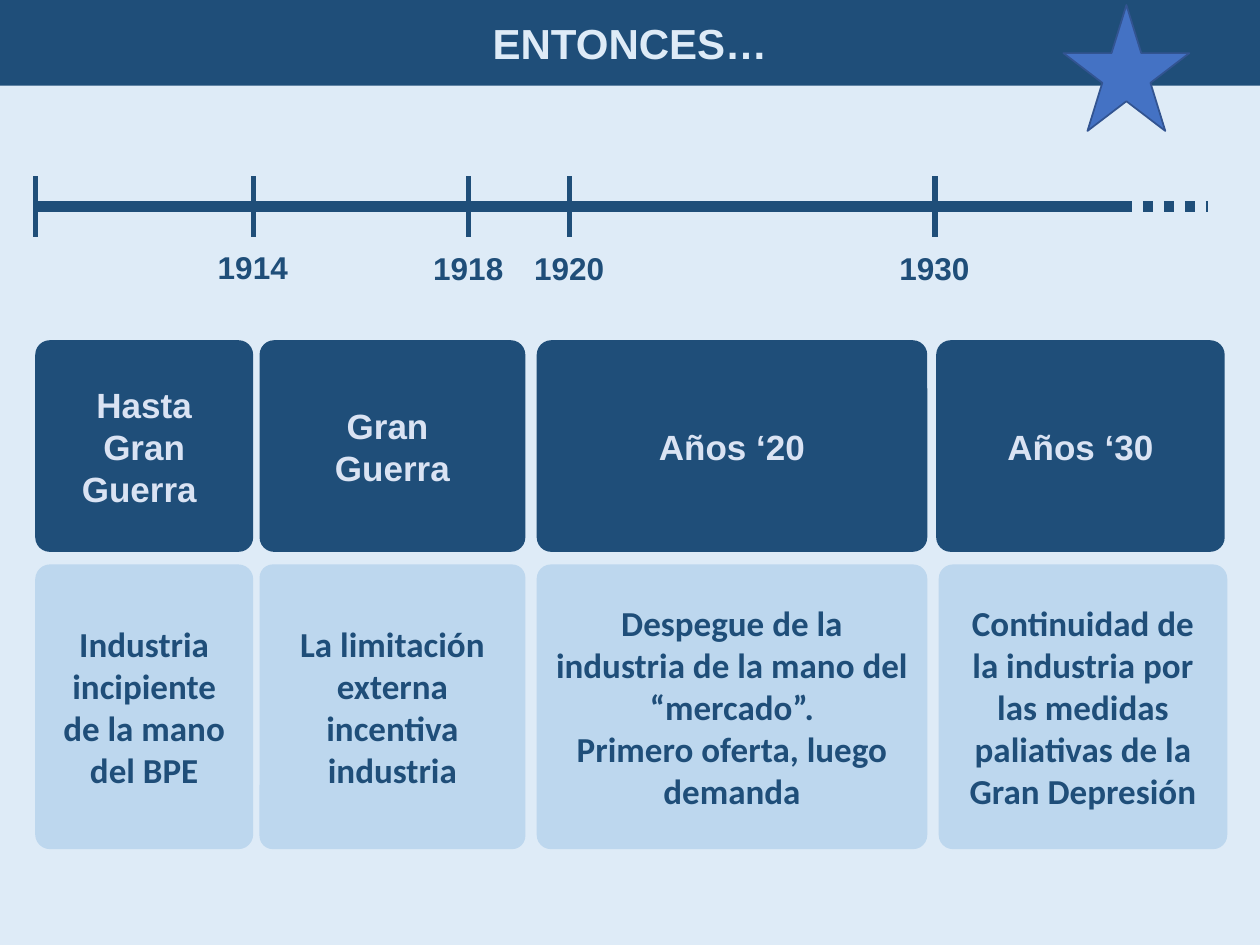
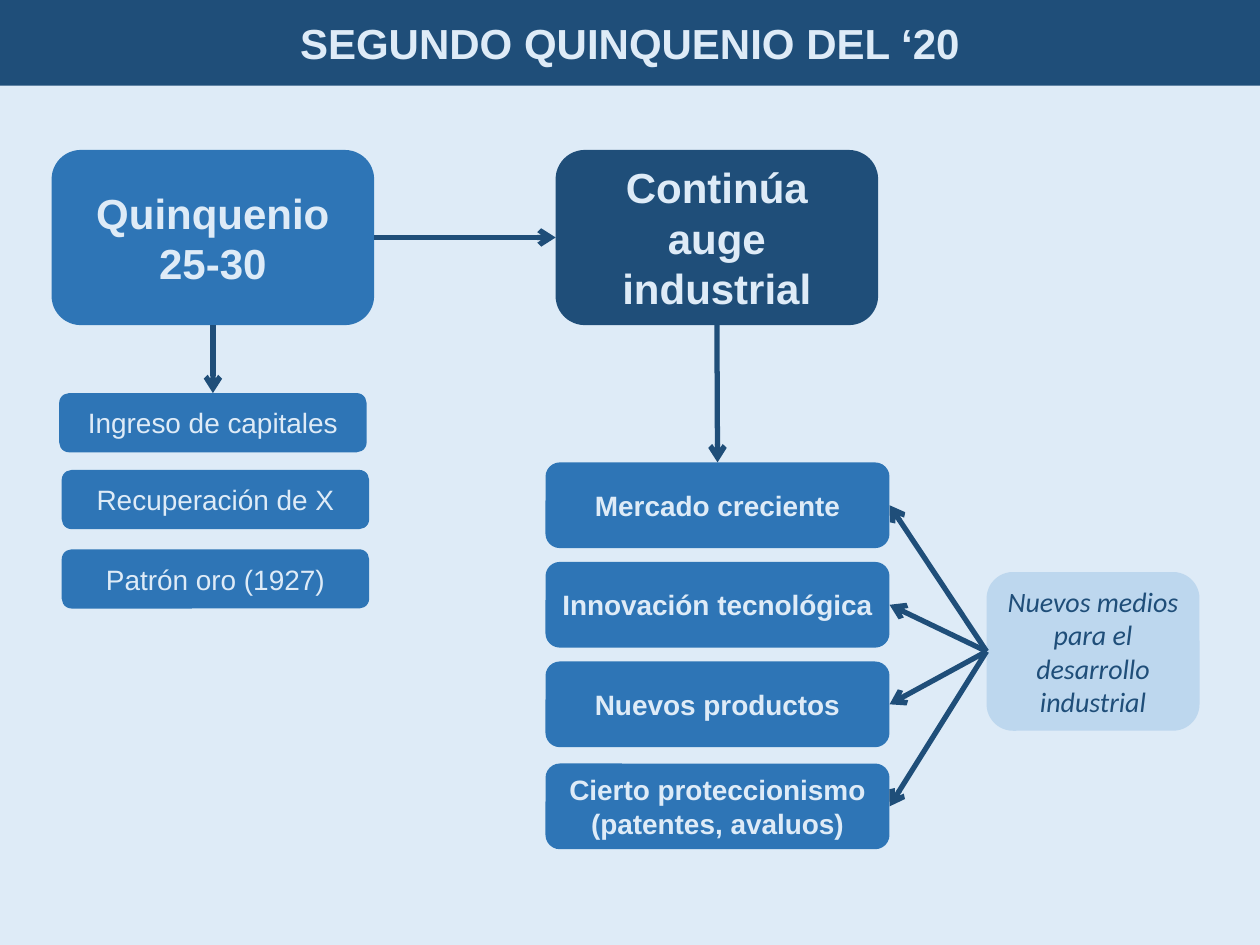
from typing import NamedTuple

from lxml.etree import SubElement
from pptx import Presentation
from pptx.dml.color import RGBColor
from pptx.enum.dml import MSO_LINE as Dash
from pptx.enum.shapes import MSO_CONNECTOR as Link, MSO_SHAPE as Kind
from pptx.enum.text import MSO_ANCHOR as Anchor, PP_ALIGN as Align
from pptx.oxml.ns import qn
from pptx.shapes.autoshape import Shape
from pptx.shapes.connector import Connector
from pptx.slide import Slide
from pptx.text.text import TextFrame
from pptx.util import Inches, Pt

NAVY = RGBColor(0x1F, 0x4E, 0x79)
BLUE = RGBColor(0x2E, 0x75, 0xB6)
SKY = RGBColor(0xBD, 0xD7, 0xEE)
PALE = RGBColor(0xDE, 0xEB, 0xF7)
MIST = RGBColor(0xDA, 0xE3, 0xF3)
STAR = RGBColor(0x44, 0x72, 0xC4)
EDGE = RGBColor(0x32, 0x54, 0x91)
TOP, LEFT, FOOT, RIGHT = range(4)


class Box(NamedTuple):
    x: float
    y: float
    w: float
    h: float


class Stage(NamedTuple):
    x: float
    w: float
    head: str
    fact: str
    fact_x: float
    curve: float = 0.05


class Tick(NamedTuple):
    x: float
    year: str = ""
    text_y: float = 1.93


class Item(NamedTuple):
    x: float
    y: float
    text: str


STAGES = [
    Stage(0.28, 1.73, "Hasta Gran Guerra ", "Industria incipiente de la mano del BPE", 0.28, 0.068),
    Stage(2.06, 2.11, "Gran \nGuerra", "La limitación externa incentiva industria", 2.06),
    Stage(4.26, 3.1, "Años ‘20",
          "Despegue de la industria de la mano del “mercado”.\nPrimero oferta, luego demanda", 4.26),
    Stage(7.43, 2.29, "Años ‘30",
          "Continuidad de la industria por las medidas paliativas de la Gran Depresión", 7.45),
]
TICKS = [Tick(0.28), Tick(2.01, "1914", 1.92), Tick(3.72, "1918"), Tick(4.52, "1920"), Tick(7.42, "1930")]
CAUSES = [
    Item(0.47, 3.12, "Ingreso de capitales"),
    Item(0.49, 3.73, "Recuperación de X"),
    Item(0.49, 4.36, "Patrón oro (1927)"),
]
TRENDS = [
    Item(4.33, 3.67, "Mercado creciente"),
    Item(4.33, 4.46, "Innovación tecnológica"),
    Item(4.33, 5.25, "Nuevos productos"),
    Item(4.33, 6.06, "Cierto proteccionismo\n(patentes, avaluos)"),
]


def write(frame: TextFrame, text: str, *, size: float, color: RGBColor = PALE, face: str = "Arial",
          bold: bool = True, slant: bool = False, align: Align = Align.CENTER) -> None:
    for i, line in enumerate(text.split("\n")):
        para = frame.add_paragraph() if i else frame.paragraphs[0]
        para.alignment = align
        run = para.add_run()
        run.text = line
        font = run.font
        font.name, font.size, font.bold, font.italic = face, Pt(size), bold, slant
        font.color.rgb = color


def draw(slide: Slide, box: Box, fill: RGBColor, kind: Kind = Kind.ROUNDED_RECTANGLE,
         curve: float | None = None, text: str = "", **style) -> Shape:
    shape = slide.shapes.add_shape(kind, *map(Inches, box))
    shape.shadow.inherit = False
    shape.fill.solid()
    shape.fill.fore_color.rgb = fill
    shape.line.fill.background()
    if curve is not None:
        shape.adjustments[0] = curve
    if text:
        shape.text_frame.word_wrap = True
        shape.text_frame.vertical_anchor = Anchor.MIDDLE
        write(shape.text_frame, text, **style)
    return shape


def rule(slide: Slide, start: tuple[int, int], end: tuple[int, int], width: float = 3) -> Connector:
    line = slide.shapes.add_connector(Link.STRAIGHT, *start, *end)
    line.line.color.rgb = NAVY
    line.line.width = Pt(width)
    SubElement(line._element.spPr, qn("a:effectLst"))
    return line


def site(shape: Shape, side: int) -> tuple[int, int]:
    mid_x, mid_y = shape.left + shape.width // 2, shape.top + shape.height // 2
    return {
        TOP: (mid_x, shape.top),
        LEFT: (shape.left, mid_y),
        FOOT: (mid_x, shape.top + shape.height),
        RIGHT: (shape.left + shape.width, mid_y),
    }[side]


def arrow(slide: Slide, source: Shape, out: int, target: Shape, into: int) -> None:
    line = rule(slide, site(source, out), site(target, into))
    line.begin_connect(source, out)
    line.end_connect(target, into)
    SubElement(line.line._get_or_add_ln(), qn("a:tailEnd"), type="arrow")


def start(deck: Presentation, title: str) -> Slide:
    slide = deck.slides.add_slide(deck.slide_layouts[6])
    slide.background.fill.solid()
    slide.background.fill.fore_color.rgb = PALE
    draw(slide, Box(0, 0, 10, 0.68), NAVY, Kind.RECTANGLE, text=title, size=24)
    return slide


def span(slide: Slide, left: float, right: float) -> Connector:
    return rule(slide, (Inches(left), Inches(1.64)), (Inches(right), Inches(1.64)), 6)


def mark(slide: Slide, tick: Tick) -> None:
    rule(slide, (Inches(tick.x), Inches(1.4)), (Inches(tick.x), Inches(1.88)))
    if tick.year:
        box = Box(tick.x - 0.38, tick.text_y, 0.76, 0.4)
        frame = slide.shapes.add_textbox(*map(Inches, box)).text_frame
        frame.word_wrap = False
        write(frame, tick.year, size=18, color=NAVY, align=Align.LEFT)


def add_stages(deck: Presentation) -> None:
    slide = start(deck, "ENTONCES…")
    span(slide, 0.28, 8.94)
    span(slide, 8.57, 9.59).line.dash_style = Dash.ROUND_DOT
    for tick in TICKS:
        mark(slide, tick)
    for stage in STAGES:
        draw(slide, Box(stage.x, 2.7, stage.w, 1.68), NAVY, curve=0.069,
             text=stage.head, size=20, color=MIST)
        draw(slide, Box(stage.fact_x, 4.48, stage.w, 2.26), SKY, curve=stage.curve,
             text=stage.fact, size=20, color=NAVY, face="Calibri")
    star = draw(slide, Box(8.44, 0.04, 1, 1), STAR, Kind.STAR_5_POINT)
    star.line.color.rgb = EDGE
    star.line.width = Pt(1)


def add_boom(deck: Presentation) -> None:
    slide = start(deck, "SEGUNDO QUINQUENIO DEL ‘20")
    years = draw(slide, Box(0.41, 1.19, 2.56, 1.39), BLUE, text="Quinquenio 25-30", size=24)
    boom = draw(slide, Box(4.41, 1.19, 2.56, 1.39), NAVY, text="Continúa auge industrial", size=24)
    causes = [draw(slide, Box(c.x, c.y, 2.44, 0.47), BLUE, text=c.text, size=16, bold=False)
              for c in CAUSES]
    trends = [draw(slide, Box(t.x, t.y, 2.73, 0.68), BLUE, text=t.text, size=16) for t in TRENDS]
    means = draw(slide, Box(7.83, 4.54, 1.69, 1.26), SKY,
                 text="Nuevos medios para el desarrollo industrial",
                 size=16, color=NAVY, face="Calibri", bold=False, slant=True)
    arrow(slide, years, RIGHT, boom, LEFT)
    arrow(slide, years, FOOT, causes[0], TOP)
    arrow(slide, boom, FOOT, trends[0], TOP)
    for trend in trends:
        arrow(slide, means, LEFT, trend, RIGHT)


def main() -> None:
    deck = Presentation()
    deck.slide_width, deck.slide_height = Inches(10), Inches(7.5)
    add_stages(deck)
    add_boom(deck)
    deck.save("out.pptx")


if __name__ == "__main__":
    main()
